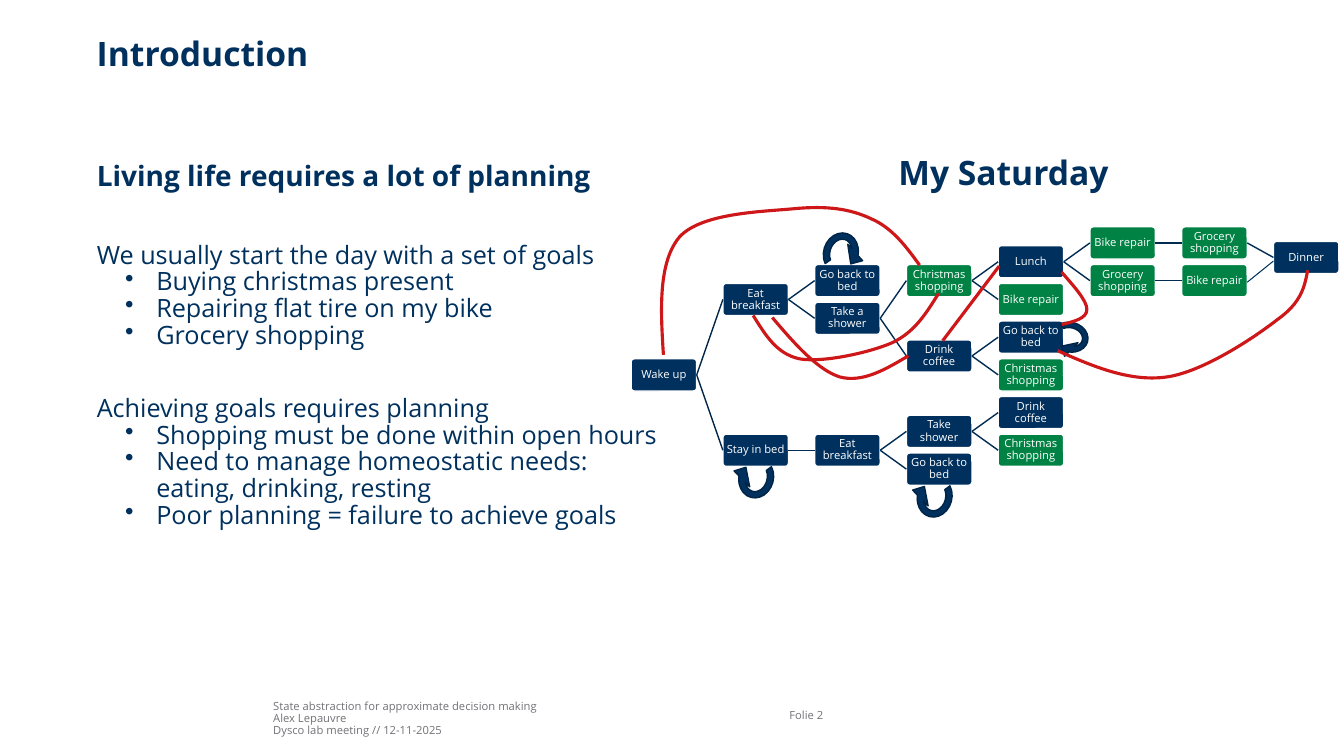
from pptx import Presentation
from pptx.dml.color import RGBColor
from pptx.enum.shapes import MSO_CONNECTOR, MSO_SHAPE
from pptx.enum.text import MSO_ANCHOR, PP_ALIGN
from pptx.oxml.xmlchemy import OxmlElement
from pptx.util import Inches, Pt

NAVY, GREEN, RED, GREY, WHITE = "00305D", "008244", "CD1719", "727277", "FFFFFF"
GOALS = {"Christmas shopping", "Bike repair", "Grocery shopping"}

# label, column, row, index of the parent activity
ACTIVITIES = [
    ("Wake up", 0, 7, None),
    ("Eat breakfast", 1, 3, 0),
    ("Go back to bed", 2, 2, 1),
    ("Take a shower", 2, 4, 1),
    ("Christmas shopping", 3, 2, 3),
    ("Lunch", 4, 1, 4),
    ("Bike repair", 5, 0, 5),
    ("Grocery shopping", 6, 0, 6),
    ("Dinner", 7, 0.77, 7),
    ("Grocery shopping", 5, 2, 5),
    ("Bike repair", 6, 2, 9),
    ("Bike repair", 4, 3, 4),
    ("Drink coffee", 3, 6, 3),
    ("Go back to bed", 4, 5, 12),
    ("Christmas shopping", 4, 7, 12),
    ("Stay in bed", 1, 11, 0),
    ("Eat breakfast", 2, 11, 15),
    ("Take shower", 3, 10, 16),
    ("Drink coffee", 4, 9, 17),
    ("Christmas shopping", 4, 11, 17),
    ("Go back to bed", 3, 12, 16),
]

# left, top, width, height, rotation
LOOPS = [
    (8.09, 2.23, 0.5, 0.56, 17.2),
    (10.4, 3.1, 0.43, 0.49, 104),
    (7.25, 4.46, 0.5, 0.56, 195),
    (9.02, 4.65, 0.5, 0.56, 195),
]

# start point, then two control points and an end point for each piece
ROUTES = [
    [(6.58, 3.52), (6.55, 3.06), (6.53, 2.6), (6.74, 2.35), (6.96, 2.11), (7.57, 2.1), (7.88, 2.07),
     (8.2, 2.04), (8.43, 2.07), (8.64, 2.17), (8.85, 2.26), (8.99, 2.45), (9.12, 2.63)],
    [(9.31, 2.91), (9.19, 3.1), (9.08, 3.29), (8.85, 3.4), (8.62, 3.5), (8.16, 3.6), (7.93, 3.56),
     (7.7, 3.51), (7.59, 3.32), (7.47, 3.13)],
    [(7.66, 3.15), (7.88, 3.41), (8.11, 3.67), (8.33, 3.74), (8.56, 3.8), (8.79, 3.66), (9.01, 3.53)],
    [(10.53, 2.7), (10.65, 2.84), (10.78, 2.98), (10.78, 3.07), (10.78, 3.16), (10.65, 3.19), (10.53, 3.22)],
    [(10.49, 3.48), (10.85, 3.64), (11.21, 3.79), (11.57, 3.74), (11.93, 3.69), (12.44, 3.35), (12.67, 3.17),
     (12.91, 3), (12.94, 2.84), (12.97, 2.68)],
]

# text, size, bold, space before, bullet
PLANNING = [
    ("Living life requires a lot of planning", 20, True, 0, False),
    ("We usually start the day with a set of goals", 18, False, 35.8, False),
    ("Buying christmas present", 18, False, 0, True),
    ("Repairing flat tire on my bike", 18, False, 0, True),
    ("Grocery shopping", 18, False, 0, True),
    ("Achieving goals requires planning", 18, False, 33.4, False),
    ("Shopping must be done within open hours", 18, False, 0, True),
    ("Need to manage homeostatic needs: eating, drinking, resting", 18, False, 0, True),
    ("Poor planning = failure to achieve goals", 18, False, 0, True),
]
FOOTER = ["State abstraction for approximate decision making", "Alex Lepauvre", "Dysco lab meeting // 12-11-2025"]


def rgb(value):
    return RGBColor.from_string(value)


class SlideBuilder:
    """Draws styled elements on one slide."""

    font = "Open Sans"
    spacing = 0.88

    def __init__(self, slide):
        self.s = slide

    def style(self, p, size, color, bold=False):
        for r in p.runs:
            r.font.name = self.font
            r.font.size = Pt(size)
            r.font.bold = bold
            r.font.color.rgb = rgb(color)

    def frame(self, tf, inset, anchor, wrap=True):
        tf.word_wrap = wrap
        tf.vertical_anchor = anchor
        tf.margin_left = tf.margin_right = tf.margin_top = tf.margin_bottom = Inches(inset)

    def bullet(self, p):
        pPr = p._p.get_or_add_pPr()
        pPr.set("marL", str(Inches(0.59)))
        pPr.set("indent", str(Inches(-0.31)))
        bu = OxmlElement("a:buChar")
        bu.set("char", "•")
        pPr.append(bu)

    def text(self, box, paragraphs, color=NAVY, anchor=MSO_ANCHOR.TOP, wrap=True):
        tf = self.s.shapes.add_textbox(*map(Inches, box)).text_frame
        self.frame(tf, 0, anchor, wrap)
        for i, (text, size, bold, before, bulleted) in enumerate(paragraphs):
            p = tf.paragraphs[0] if i == 0 else tf.add_paragraph()
            p.text = text
            if bulleted:
                self.bullet(p)
            p.line_spacing = self.spacing
            if before:
                p.space_before = Pt(before)
            self.style(p, size, color, bold)

    def shape(self, kind, box, fill, line, adjustments):
        sp = self.s.shapes.add_shape(kind, *map(Inches, box))
        sp.shadow.inherit = False
        sp.fill.solid()
        sp.fill.fore_color.rgb = rgb(fill)
        sp.line.color.rgb = rgb(line)
        sp.line.width = Pt(1)
        for i, value in enumerate(adjustments):
            sp.adjustments[i] = value
        return sp

    def node(self, label, col, row):
        box = (6.26 + 0.91 * col, 2.25 + 0.187 * row, 0.65, 0.32)
        sp = self.shape(MSO_SHAPE.ROUNDED_RECTANGLE, box, GREEN if label in GOALS else NAVY, WHITE, [0.1])
        self.frame(sp.text_frame, 0.02, MSO_ANCHOR.MIDDLE)
        sp.text_frame.text = label
        p = sp.text_frame.paragraphs[0]
        p.alignment = PP_ALIGN.CENTER
        p.line_spacing = 0.9
        self.style(p, 8, WHITE)
        return sp

    def loop(self, left, top, width, height, rotation):
        angles = [0.125, 32.545, 204.577, 77.306, 0.22]
        sp = self.shape(MSO_SHAPE.CIRCULAR_ARROW, (left, top, width, height), NAVY, "002445", angles)
        sp.rotation = rotation

    def line(self, start, end, color, width):
        cx = self.s.shapes.add_connector(MSO_CONNECTOR.STRAIGHT, *map(Inches, start + end))
        cx.line.color.rgb = rgb(color)
        cx.line.width = Pt(width)
        cx._element.spPr.append(OxmlElement("a:effectLst"))
        return cx

    def branch(self, parent, child, color):
        cx = self.line((0, 0), (0, 0), color, 1)
        cx.begin_connect(parent, 3)
        cx.end_connect(child, 1)

    def curve(self, points):
        start, *rest = [(Inches(x), Inches(y)) for x, y in points]
        fb = self.s.shapes.build_freeform(*start)
        fb.add_line_segments(rest, close=False)
        sp = fb.convert_to_shape()
        path = sp._element.xpath(".//a:path")[0]
        segments = path.xpath("a:lnTo")
        for i in range(0, len(segments), 3):
            bezier = OxmlElement("a:cubicBezTo")
            for segment in segments[i:i + 3]:
                bezier.append(segment[0])
                path.remove(segment)
            path.append(bezier)
        sp.shadow.inherit = False
        sp.fill.background()
        sp.line.color.rgb = rgb(RED)
        sp.line.width = Pt(2.25)


def main():
    prs = Presentation()
    prs.slide_width, prs.slide_height = Inches(13.33), Inches(7.5)
    b = SlideBuilder(prs.slides.add_slide(prs.slide_layouts[6]))

    b.text((2.71, 6.91, 4.9, 0.4), [(t, 8, False, 0, False) for t in FOOTER], GREY, MSO_ANCHOR.BOTTOM)
    b.text((7.83, 6.9, 0.77, 0.4), [("Folie 2", 8, False, 0, False)], GREY, MSO_ANCHOR.MIDDLE)
    b.text((0.96, 0.38, 11.57, 0.75), [("Introduction", 24, True, 0, False)])
    b.text((0.96, 1.62, 5.68, 4.77), PLANNING)

    nodes = []
    for label, col, row, parent in ACTIVITIES:
        nodes.append(b.node(label, col, row))
        if parent is not None:
            b.branch(nodes[parent], nodes[-1], "002C54" if parent else "00264A")
    b.line((12.37, 2.8), (12.63, 2.59), NAVY, 0.75)
    for loop in LOOPS:
        b.loop(*loop)

    b.text((8.91, 1.56, 2.11, 0.4), [("My Saturday", 24, True, 0, False)], wrap=False)
    for route in ROUTES:
        b.curve(route)
    b.line((9.35, 3.38), (9.91, 2.64), RED, 2.25)
    prs.save("out.pptx")


if __name__ == "__main__":
    main()
